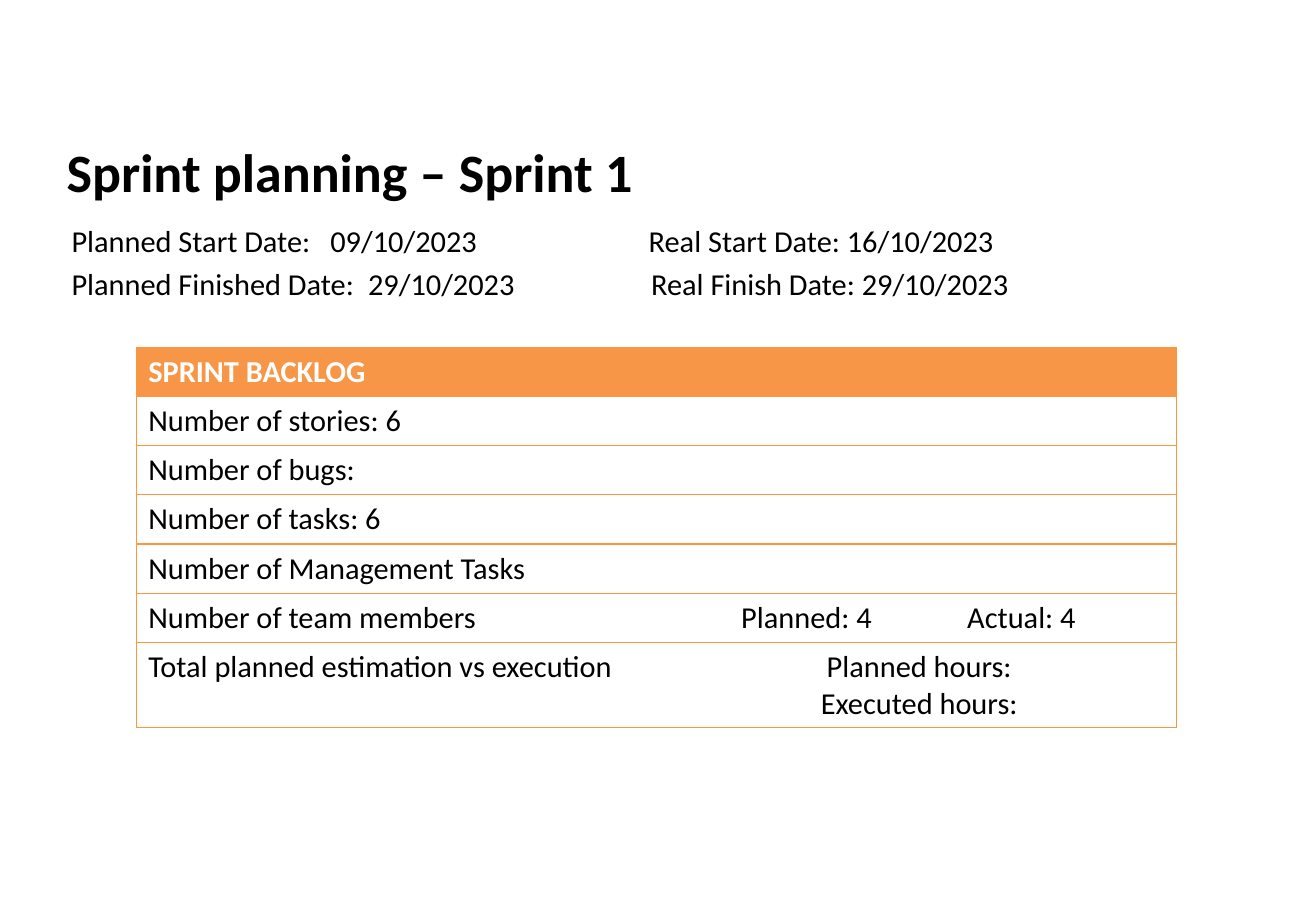
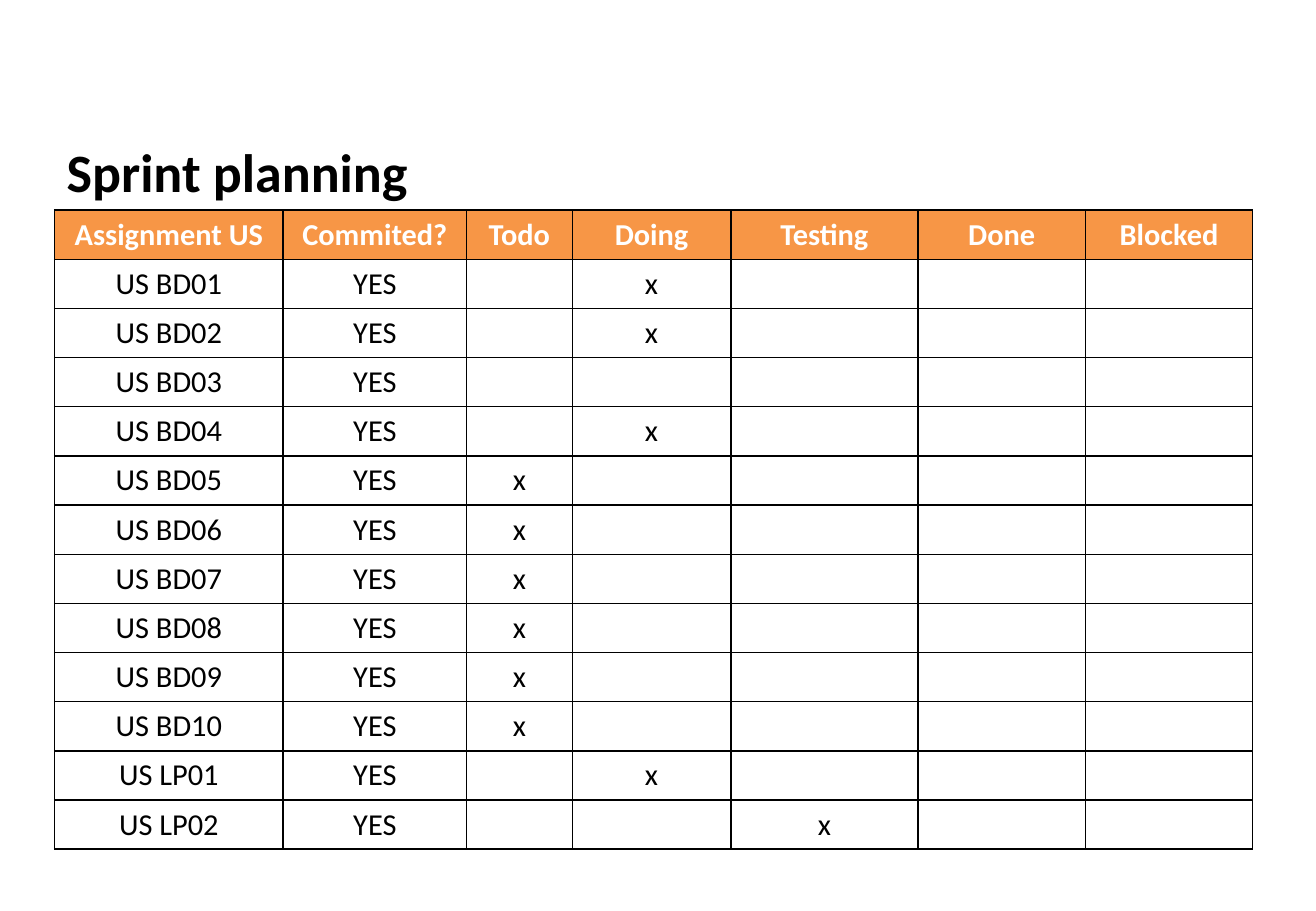
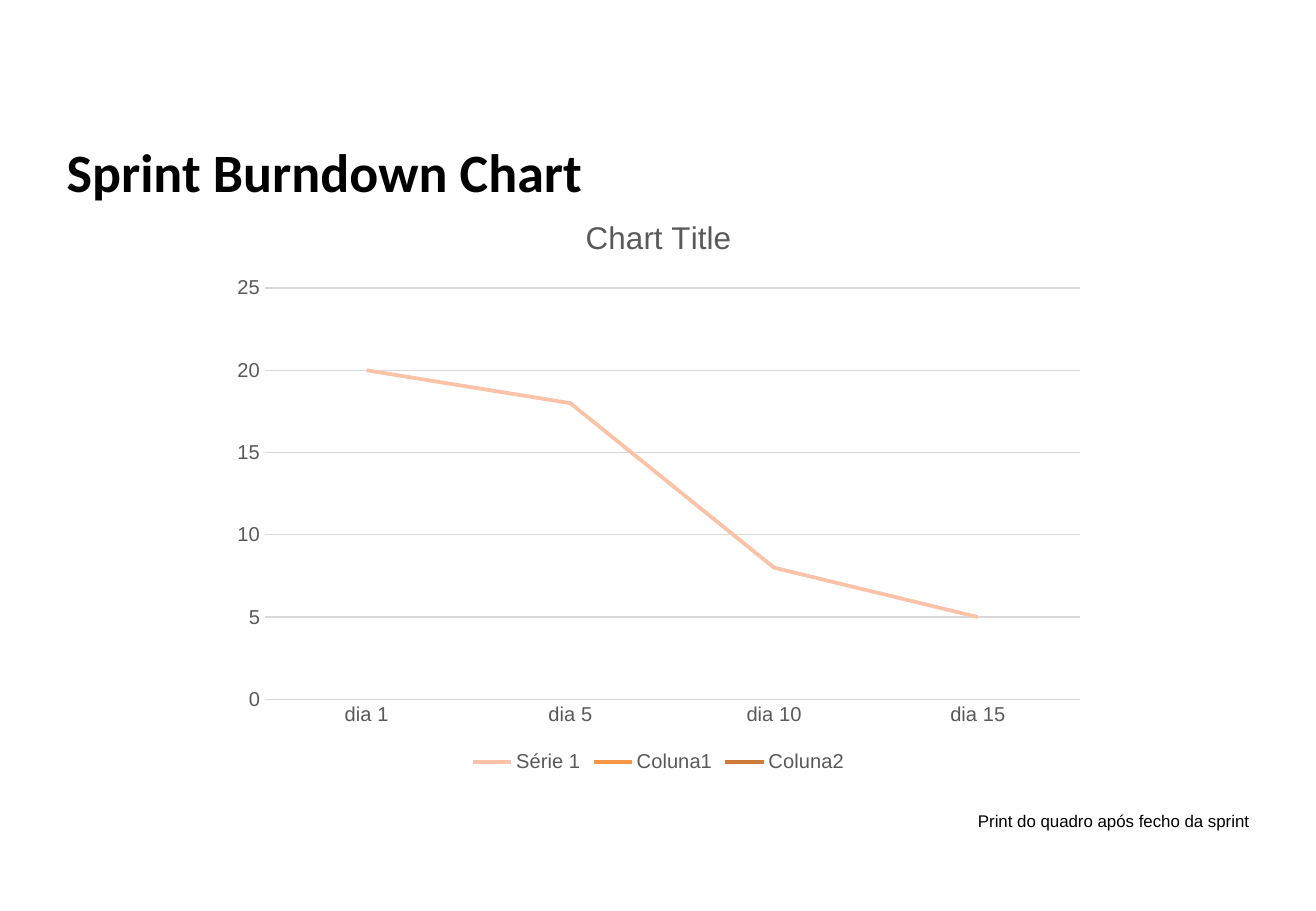
from lxml import etree
from pptx import Presentation, util as u
from pptx.chart.data import CategoryChartData
from pptx.dml.color import RGBColor
from pptx.enum import chart as charts, shapes, text
from pptx.oxml.ns import qn

PX = 4572  # 200 px to the inch
BLACK, WHITE, GREY, GRID = "000000", "FFFFFF", "595959", "D9D9D9"
HEADER, BACKLOG_LINE = "F79646", "FF953E"
SERIES_COLOURS = ("FAC3A8", "F79646", "CD7C3A")
BODY_FONT, CHART_FONT = "Calibri", "Arial"
ROW = 81
LEFT, CENTER = text.PP_ALIGN.LEFT, text.PP_ALIGN.CENTER


def px(*lengths):
    return [u.Emu(length * PX) for length in lengths]


def colour(value):
    return RGBColor.from_string(value)


def style(font, size, value=BLACK, name=BODY_FONT, bold=False):
    font.size, font.name, font.bold = u.Pt(size), name, bold
    font.color.rgb = colour(value)


def add_tabs(paragraph, stops):
    tab_list = etree.SubElement(paragraph._p.get_or_add_pPr(), qn("a:tabLst"))
    for stop in stops:
        etree.SubElement(tab_list, qn("a:tab"), pos=str(stop * PX), algn="l")


def write(frame, lines, size=18, value=BLACK, name=BODY_FONT, bold=False,
          align=LEFT, after=0, tabs=()):
    """Fill a text frame; tabs holds one list of stops for each line."""
    frame.word_wrap = True
    for index, line in enumerate(lines):
        paragraph = frame.paragraphs[0] if index == 0 else frame.add_paragraph()
        paragraph.text = line
        paragraph.alignment = align
        paragraph.space_after = u.Pt(after)
        if tabs:
            add_tabs(paragraph, tabs[index])
        style(paragraph.font, size, value, name, bold)


def add_text(slide, box, lines, **options):
    write(slide.shapes.add_textbox(*px(*box)).text_frame, lines, **options)


def add_titled_slide(presentation, title):
    slide = presentation.slides.add_slide(presentation.slide_layouts[6])
    add_text(slide, (90, 218, 1978, 126), [title], size=32, bold=True)
    return slide


def set_borders(cell, sides, value, width):
    """Draw the named sides (of L, R, T, B) and clear the others."""
    properties = cell._tc.get_or_add_tcPr()
    for side in "LRTB":
        line = etree.SubElement(properties, qn(f"a:ln{side}"), w=str(u.Pt(width)))
        if side in sides:
            fill = etree.SubElement(line, qn("a:solidFill"))
            etree.SubElement(fill, qn("a:srgbClr"), val=value)
        else:
            etree.SubElement(line, qn("a:noFill"))


def add_table(slide, left, top, widths, heights, rows, line, line_width,
              inner_columns=True, align=LEFT):
    frame = slide.shapes.add_table(
        len(rows), len(widths), *px(left, top, sum(widths), sum(heights)))
    table = frame.table
    table.horz_banding = table.first_row = False
    for column, width in zip(table.columns, px(*widths)):
        column.width = width
    for row, height in zip(table.rows, px(*heights)):
        row.height = height
    last = len(widths) - 1
    for row_index, row in enumerate(rows):
        is_header = row_index == 0
        for column_index, content in enumerate(row):
            cell = table.cell(row_index, column_index)
            sides = "TB"
            if inner_columns or column_index == 0:
                sides += "L"
            if inner_columns or column_index == last:
                sides += "R"
            set_borders(cell, sides, line, line_width)
            cell.fill.solid()
            cell.fill.fore_color.rgb = colour(HEADER if is_header else WHITE)
            write(cell.text_frame, [content], bold=is_header, align=align,
                  value=WHITE if is_header else BLACK)
    return table


def add_note(slide, box, content):
    note = slide.shapes.add_shape(shapes.MSO_SHAPE.RECTANGLE, *px(*box))
    note.shadow.inherit = False
    note.line.fill.background()
    note.fill.solid()
    note.fill.fore_color.rgb = colour(WHITE)
    shade = note.fill._xPr.find(f".//{qn('a:srgbClr')}")
    etree.SubElement(shade, qn("a:alpha"), val="70000")
    write(note.text_frame, [content], size=10, name=CHART_FONT)


def add_line_chart(slide, box, title, categories, series):
    data = CategoryChartData()
    data.categories = categories
    for name, values in series:
        data.add_series(name, values)
    chart = slide.shapes.add_chart(
        charts.XL_CHART_TYPE.LINE, *px(*box), data).chart
    style(chart.font, 11.9, GREY, CHART_FONT)

    chart.has_title = True
    chart.chart_title.include_in_layout = False
    heading = chart.chart_title.text_frame
    heading.text = title
    style(heading.paragraphs[0].font, 18.6, GREY, CHART_FONT)

    chart.has_legend = True
    chart.legend.position = charts.XL_LEGEND_POSITION.BOTTOM
    chart.legend.include_in_layout = False

    plot = chart.plots[0]
    plot.vary_by_categories = False
    for line, value in zip(plot.series, SERIES_COLOURS):
        line.smooth = False
        line.format.line.width = u.Pt(2.25)
        line.format.line.color.rgb = colour(value)

    values, days = chart.value_axis, chart.category_axis
    for axis in (values, days):
        axis.major_tick_mark = axis.minor_tick_mark = charts.XL_TICK_MARK.NONE
    values.minimum_scale, values.maximum_scale, values.major_unit = 0, 25, 5
    values.format.line.fill.background()
    for rule in (values.major_gridlines.format.line, days.format.line):
        rule.width = u.Pt(0.75)
        rule.color.rgb = colour(GRID)


def build_backlog(presentation):
    slide = add_titled_slide(presentation, "Sprint planning – Sprint 1")
    rows = [
        ("SPRINT BACKLOG", ""),
        ("Number of stories: 6", ""),
        ("Number of bugs:", ""),
        ("Number of tasks: 6", ""),
        ("Number of Management Tasks", ""),
        ("Number of team members", ""),
        ("Total planned estimation vs execution", ""),
    ]
    table = add_table(slide, 224, 572, (866, 846), [ROW] * 6 + [140], rows,
                      BACKLOG_LINE, 0.75, inner_columns=False)
    write(table.cell(5, 1).text_frame, ["\tPlanned: 4\tActual: 4"],
          tabs=[(110, 482)])
    write(table.cell(6, 1).text_frame, ["Planned hours:", "Executed hours:"],
          align=CENTER)
    add_text(slide, (98, 356, 1978, 156), [
        "Planned Start Date:\t09/10/2023\tReal Start Date: 16/10/2023",
        "Planned Finished Date:\t29/10/2023\tReal Finish Date: 29/10/2023",
    ], after=4, tabs=[(426, 950), (488, 954)])


def build_assignments(presentation):
    slide = add_titled_slide(presentation, "Sprint planning")
    states = ("Todo", "Doing", "Testing", "Done", "Blocked")
    stories = {
        "BD01": "Doing", "BD02": "Doing", "BD03": None, "BD04": "Doing",
        "BD05": "Todo", "BD06": "Todo", "BD07": "Todo", "BD08": "Todo",
        "BD09": "Todo", "BD10": "Todo", "LP01": "Doing", "LP02": "Testing",
    }
    rows = [("Assignment US", "Commited?", *states)]
    for story, current in stories.items():
        marks = ["x" if state == current else "" for state in states]
        rows.append((f"US {story}", "YES", *marks))
    add_table(slide, 90, 346, (376, 302, 174, 261, 308, 276, 275),
              [ROW] * len(rows), rows, BLACK, 1, align=CENTER)


def build_burndown(presentation):
    slide = add_titled_slide(presentation, "Sprint Burndown Chart")
    add_note(slide, (1590, 1324, 492, 54), "Print do quadro após fecho da sprint")
    add_line_chart(
        slide, (362, 318, 1444, 962), "Chart Title",
        ("dia 1", "dia 5", "dia 10", "dia 15"),
        [("Série 1", (20, 18, 8, 5)),
         ("Coluna1", (None,) * 4),
         ("Coluna2", (None,) * 4)])


def main():
    presentation = Presentation()
    presentation.slide_width, presentation.slide_height = px(2166, 1500)
    build_backlog(presentation)
    build_assignments(presentation)
    build_burndown(presentation)
    presentation.save("out.pptx")


if __name__ == "__main__":
    main()
